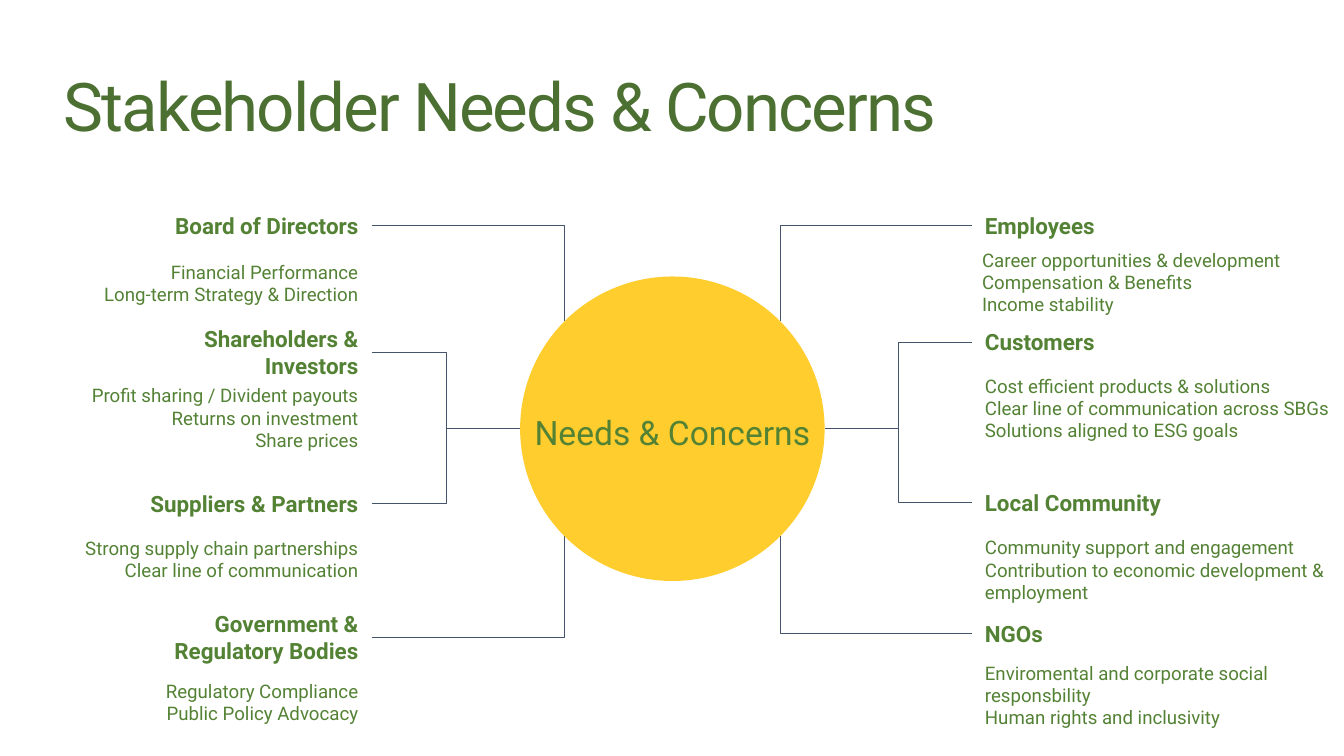
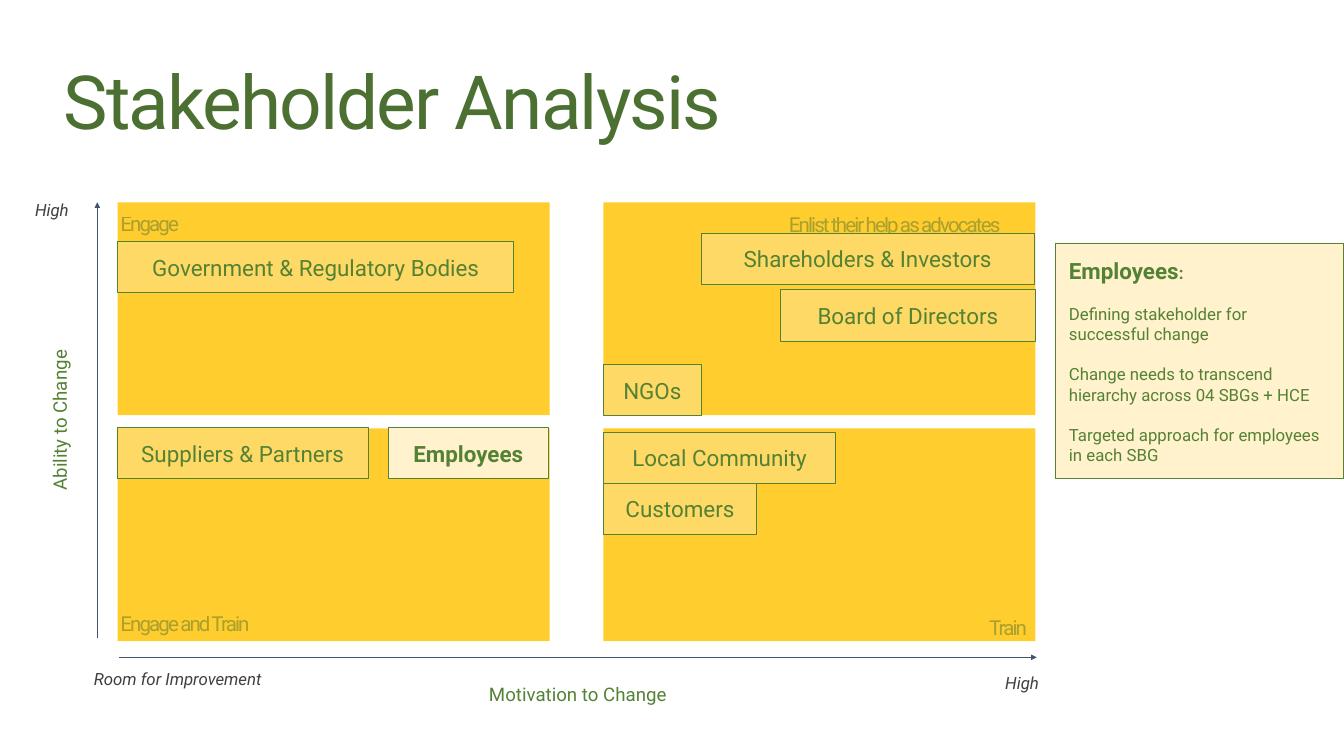
from math import sqrt

from pptx import Presentation
from pptx.dml.color import RGBColor
from pptx.enum.shapes import MSO_CONNECTOR, MSO_SHAPE
from pptx.enum.text import MSO_ANCHOR, MSO_AUTO_SIZE, PP_ALIGN
from pptx.oxml.ns import qn
from pptx.oxml.xmlchemy import OxmlElement
from pptx.util import Pt

RECT, OVAL, ROUND = MSO_SHAPE.RECTANGLE, MSO_SHAPE.OVAL, MSO_SHAPE.ROUNDED_RECTANGLE
STRAIGHT, ELBOW = MSO_CONNECTOR.STRAIGHT, MSO_CONNECTOR.ELBOW
LEFT, MID, RIGHT = PP_ALIGN.LEFT, PP_ALIGN.CENTER, PP_ALIGN.RIGHT
TOP, MIDDLE = MSO_ANCHOR.TOP, MSO_ANCHOR.MIDDLE

PX = 9525
WIDTH, HEIGHT = 1920, 1080
FONT = "Roboto"
COLORS = {
    "title": "4C7031", "text": "548235", "gray": "404040", "line": "44546A",
    "gold": "FFCD2D", "chip": "FFD966", "cream": "FFF2CC",
}
ROW = 73
PAD = (19, 19)

# Slide 1: name, name y, body x, body y, body lines
LEFT_SIDE = [
    ("Board of Directors", 285, 43, 353,
     ["Financial Performance", "Long-term Strategy & Direction"]),
    ("Shareholders & Investors", 467, 97, 530,
     ["Profit sharing / Divident payouts", "Returns on investment", "Share prices"]),
    ("Suppliers & Partners", 683, 43, 748,
     ["Strong supply chain partnerships", "Clear line of communication"]),
    ("Government & Regulatory Bodies", 874, 96, 952,
     ["Regulatory Compliance", "Public Policy Advocacy"]),
]
RIGHT_SIDE = [
    ("Employees", 285, 1384, 336,
     ["Career opportunities & development", "Compensation & Benefits",
      "Income stability"]),
    ("Customers", 452, 1388, 516,
     ["Cost efficient products & solutions",
      "Clear line of communication across SBGs", "Solutions aligned to ESG goals"]),
    ("Local Community", 681, 1388, 747,
     ["Community support and engagement",
      "Contribution to economic development & employment"]),
    ("NGOs", 868, 1388, 926,
     ["Enviromental and corporate social responsbility",
      "Human rights and inclusivity"]),
]
NAME_W, BODY_H = 379, 70
LEFT_EDGE, RIGHT_EDGE = 531, 1388
HUB = (743, 395, 435)

# Slide 2
QUAD_X, QUAD_Y, QUAD_W, QUAD_H = (168, 862), (289, 612), 617, 304
HINTS = [
    ("Engage", 153, 283), ("Enlist their help as advocates", 1108, 284),
    ("Engage and Train", 153, 854), ("Train", 1394, 860),
]
CHIPS = [
    ("Board of Directors", 1115, 414, 364),
    ("Shareholders & Investors", 1002, 333, 475),
    ("Suppliers & Partners", 167, 611, 359),
    ("Government & Regulatory Bodies", 168, 345, 566),
    ("Employees", 555, 611, 228),
    ("Local Community", 862, 617, 332),
    ("NGOs", 862, 521, 140),
    ("Customers", 862, 690, 219),
]
FOCUS = "Employees"
AXES = [((139, 912), (139, 289)), ((170, 939), (1481, 939))]
AXIS_NAMES = [
    ("Ability to Change", (-175, 564, 523, ROW), 270),
    ("Motivation to Change", (518, 957, 615, ROW), 0),
]
AXIS_ENDS = [
    ("High", (40, 281, 112, 38)), ("High", (1426, 956, 112, 38)),
    ("Room for Improvement", (124, 950, 329, 38)),
]
NOTE_BOX = (1508, 347, 411, 337)
NOTE = [
    "Defining stakeholder for successful change",
    "Change needs to transcend hierarchy across 04 SBGs + HCE",
    "Targeted approach for employees in each SBG",
]


def px(*sizes):
    return [round(size * PX) for size in sizes]


def rgb(name):
    return RGBColor.from_string(COLORS[name])


def add_run(para, text, size, color="text", bold=False, italic=False,
            spacing=0, alpha=0):
    """Add one run; spacing is in points, alpha is opacity in percent."""
    run = para.add_run()
    run.text = text
    font = run.font
    font.name, font.size, font.bold, font.italic = FONT, Pt(size), bold, italic
    font.color.rgb = rgb(color)
    props = run._r.get_or_add_rPr()
    if spacing:
        props.set("spc", str(spacing * 100))
    if alpha:
        tag = OxmlElement("a:alpha")
        tag.set("val", str(alpha * 1000))
        props.find(".//" + qn("a:srgbClr")).append(tag)


def set_frame(shape, anchor=TOP, pad=PAD):
    frame = shape.text_frame
    frame.word_wrap = True
    frame.auto_size = MSO_AUTO_SIZE.NONE
    frame.vertical_anchor = anchor
    frame.margin_left = frame.margin_right = px(pad[0])[0]
    frame.margin_top = frame.margin_bottom = px(pad[1])[0]
    return frame


def add_paras(frame, lines, size, align=LEFT, leading=None, **style):
    for i, line in enumerate(lines):
        para = frame.add_paragraph() if i else frame.paragraphs[0]
        para.alignment = align
        if leading:
            para.line_spacing = leading
        add_run(para, line, size, **style)


def add_text(slide, box, lines, size, anchor=TOP, pad=PAD, **style):
    shape = slide.shapes.add_textbox(*px(*box))
    add_paras(set_frame(shape, anchor, pad), lines, size, **style)
    return shape


def add_block(slide, kind, box, fill=None, outline=None):
    shape = slide.shapes.add_shape(kind, *px(*box))
    shape.shadow.inherit = False
    if kind == ROUND:
        shape.adjustments[0] = 0
    if fill:
        shape.fill.solid()
        shape.fill.fore_color.rgb = rgb(fill)
    else:
        shape.fill.background()
    if outline:
        shape.line.color.rgb = rgb(outline)
        shape.line.width = Pt(0.75)
    else:
        shape.line.fill.background()
    return shape


def add_line(slide, kind, start, end, width, arrow=False):
    line = slide.shapes.add_connector(kind, *px(*start, *end))
    line.line.color.rgb = rgb("line")
    line.line.width = Pt(width)
    props = line._element.spPr
    if arrow:
        tip = OxmlElement("a:tailEnd")
        tip.set("type", "triangle")
        props.find(qn("a:ln")).append(tip)
    props.append(OxmlElement("a:effectLst"))
    return line


def add_slide(deck, title, size, width):
    slide = deck.slides.add_slide(deck.slide_layouts[5])
    shape = slide.shapes.title
    shape.left, shape.top, shape.width, shape.height = px(91, 79, width, 128)
    add_paras(set_frame(shape, pad=(0, 0)), [title], size, leading=Pt(96),
              color="title", spacing=-2)
    return slide


def add_side(slide, groups, side):
    """Add a column of groups and their links; side is -1 left, 1 right."""
    x, y, size = HUB
    radius = size / 2
    slant = radius / sqrt(2)
    mid_x, mid_y = x + radius, y + radius
    align = RIGHT if side < 0 else LEFT
    edge = LEFT_EDGE if side < 0 else RIGHT_EDGE
    name_x = edge - NAME_W if side < 0 else edge
    limit = LEFT_EDGE if side < 0 else WIDTH
    for i, (name, name_y, body_x, body_y, lines) in enumerate(groups):
        label = add_block(slide, ROUND, (name_x, name_y, NAME_W, ROW))
        add_paras(set_frame(label, MIDDLE), [name], 24, align, bold=True)
        add_text(slide, (body_x, body_y, limit - body_x, BODY_H), lines, 20,
                 align=align)
        start = (edge, name_y + ROW / 2)
        if i in (0, len(groups) - 1):
            drop = -slant if i == 0 else slant
            link = add_line(slide, ELBOW, start,
                            (mid_x + side * slant, mid_y + drop), 0.75)
            shape = link._element.spPr.find(qn("a:prstGeom"))
            shape.set("prst", "bentConnector2")
        else:
            add_line(slide, ELBOW, start, (mid_x + side * radius, mid_y), 0.75)


def add_needs(deck):
    slide = add_slide(deck, "Stakeholder Needs & Concerns", 72, 1317)
    add_side(slide, LEFT_SIDE, -1)
    add_side(slide, RIGHT_SIDE, 1)
    x, y, size = HUB
    add_block(slide, OVAL, (x, y, size, size), "gold")
    add_text(slide, (x, y + 119, size, 198), ["Needs & Concerns"], 36, MIDDLE,
             align=MID, leading=1.15)


def add_note(slide):
    shape = add_block(slide, RECT, NOTE_BOX, "cream", "text")
    frame = set_frame(shape, MIDDLE)
    head = frame.paragraphs[0]
    head.alignment = LEFT
    add_run(head, FOCUS, 24, bold=True)
    add_run(head, ":", 18, bold=True)
    for line in NOTE:
        para = frame.add_paragraph()
        para.alignment = LEFT
        para.space_before = Pt(21.5)
        add_run(para, line, 18)


def add_matrix(deck):
    slide = add_slide(deck, "Stakeholder Analysis", 80, 1012)
    for y in QUAD_Y:
        for x in QUAD_X:
            add_block(slide, ROUND, (x, y, QUAD_W, QUAD_H), "gold")
    for text, x, y in HINTS:
        add_text(slide, (x, y, 411, ROW), [text], 22, MIDDLE,
                 color="title", spacing=-2, alpha=47)
    for start, end in AXES:
        add_line(slide, STRAIGHT, start, end, 1.5, arrow=True)
    for text, box, turn in AXIS_NAMES:
        add_text(slide, box, [text], 20, align=MID).rotation = turn
    for text, box in AXIS_ENDS:
        add_text(slide, box, [text], 18, pad=(10, 5), color="gray", italic=True)
    for text, x, y, width in CHIPS:
        focus = text == FOCUS
        chip = add_block(slide, ROUND, (x, y, width, ROW),
                         "cream" if focus else "chip", "text")
        add_paras(set_frame(chip, MIDDLE), [text], 24, MID, bold=focus)
    add_note(slide)


def main():
    deck = Presentation()
    deck.slide_width, deck.slide_height = px(WIDTH, HEIGHT)
    add_needs(deck)
    add_matrix(deck)
    deck.save("out.pptx")


if __name__ == "__main__":
    main()
